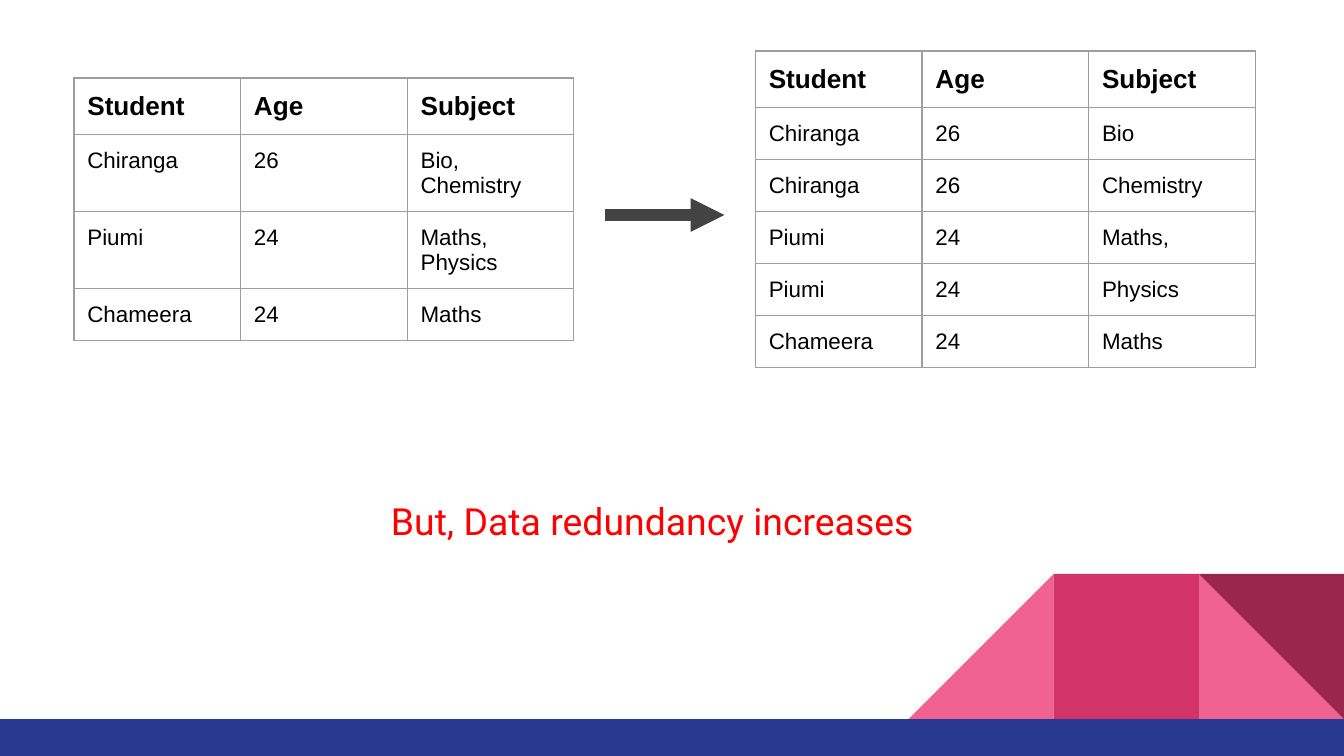
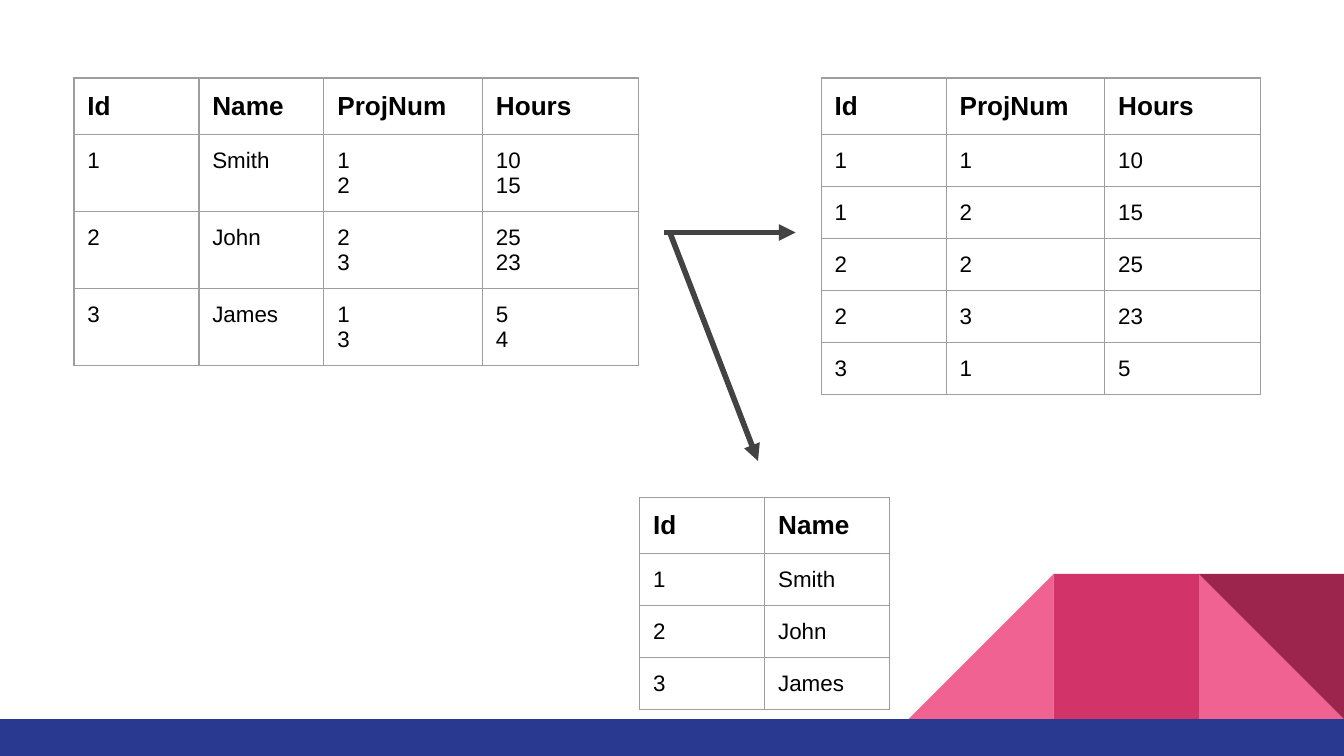
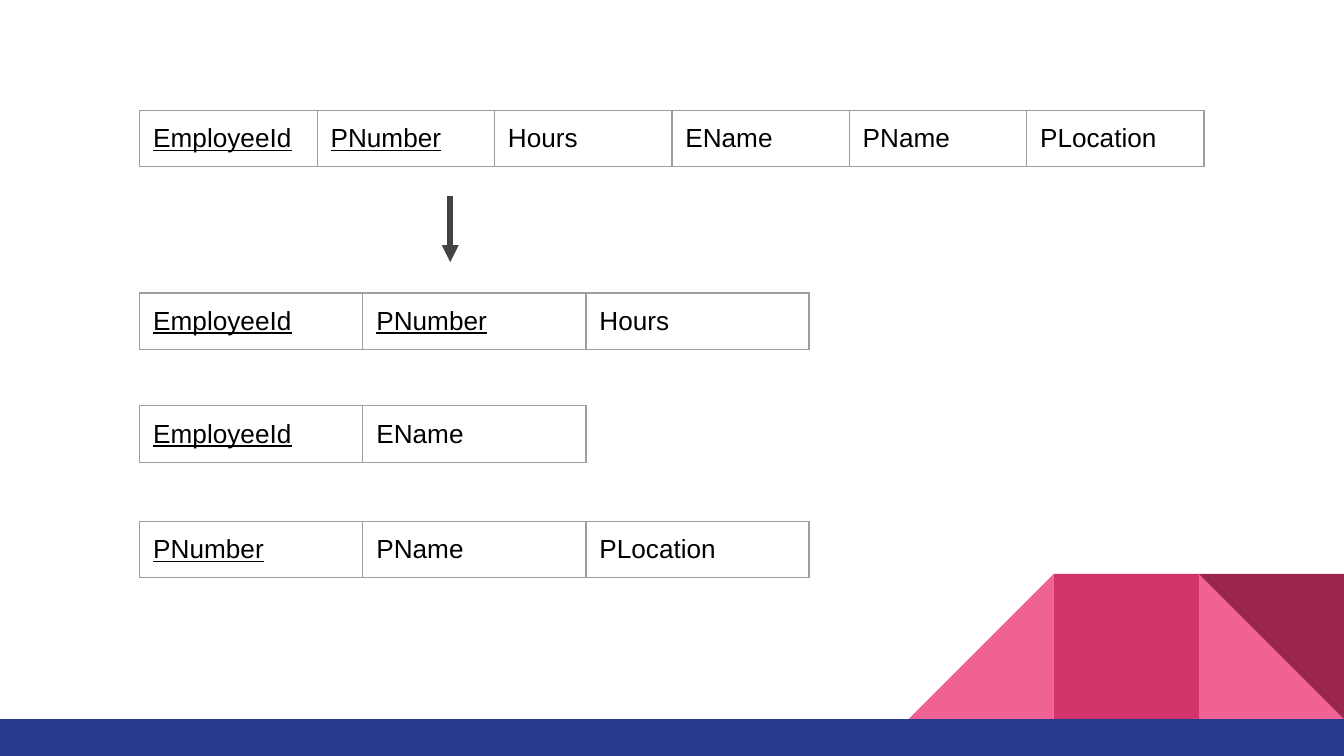
import pptx
import pptx.dml.color
import pptx.enum.shapes
import pptx.oxml
import pptx.oxml.ns
import pptx.util
from pptx.util import Inches

HUES = {
    "back": "FFFFFF", "ink": "000000", "alert": "FF0000",
    "grid": "9E9E9E", "arrow": "434343", "bar": "2A3990",
    "light": "F06292", "mid": "D23369", "dark": "9C254D",
}
KINDS = pptx.enum.shapes.MSO_SHAPE
PAD = Inches(0.1)
SIDE = 1.08


def hue(name):
    return pptx.dml.color.RGBColor.from_string(HUES[name])


def node(xml):
    return pptx.oxml.parse_xml(xml.replace(">", f" {pptx.oxml.ns.nsdecls('a')}>", 1))


class Deck:
    def __init__(self):
        self.file = pptx.Presentation()
        self.file.slide_width = Inches(10)
        self.file.slide_height = Inches(10 * 9 / 16)
        self.slide = None

    def page(self):
        """Start a slide with the pink corner and the blue footer bar."""
        self.slide = self.file.slides.add_slide(self.file.slide_layouts[6])
        fill = self.slide.background.fill
        fill.solid()
        fill.fore_color.rgb = hue("back")
        art = self.slide.shapes.add_group_shape().shapes
        tip = KINDS.RIGHT_TRIANGLE
        corner = [(2, tip, "light", 0), (0, tip, "light", 270),
                  (1, KINDS.RECTANGLE, "mid", 0), (2, tip, "dark", 180)]
        for step, kind, tone, turn in corner:
            self.shape(art, kind, (6.76 + step * SIDE, 4.27, SIDE, SIDE), tone, turn)
        self.shape(art, KINDS.RECTANGLE, (0, 5.35, 10, 0.28), "bar")

    def shape(self, home, kind, box, tone, turn=0):
        item = home.add_shape(kind, *map(Inches, box))
        item.shadow.inherit = False
        item.fill.solid()
        item.fill.fore_color.rgb = hue(tone)
        item.line.fill.background()
        item.rotation = turn

    def style(self, frame, size, tone="ink", face="Arial", bold=False, under=False):
        for para in frame.paragraphs:
            for run in para.runs:
                font = run.font
                font.name, font.size = face, pptx.util.Pt(size)
                font.bold, font.underline = bold, under
                font.color.rgb = hue(tone)

    def pad(self, item):
        item.margin_left = item.margin_right = PAD
        item.margin_top = item.margin_bottom = PAD

    def text(self, words, box, **look):
        frame = self.slide.shapes.add_textbox(*map(Inches, box)).text_frame
        frame.word_wrap = True
        self.pad(frame)
        frame.text = words
        self.style(frame, **look)

    def grid(self, left, top, widths, rows, highs):
        """Add a table with thin grey borders and no fill."""
        frame = self.slide.shapes.add_table(
            len(rows), len(widths), Inches(left), Inches(top),
            Inches(sum(widths)), Inches(sum(highs)))
        table = frame.table
        table.first_row = table.horz_banding = False
        for col, width in zip(table.columns, widths):
            col.width = Inches(width)
        for line, high, words in zip(table.rows, highs, rows):
            line.height = Inches(high)
            for cell, word in zip(line.cells, words):
                self.pad(cell)
                self.edge(cell)
                cell.fill.background()
                cell.text_frame.text = word
        return table

    def edge(self, cell):
        props = cell._tc.get_or_add_tcPr()
        for side in "LRTB":
            props.append(node(
                f'<a:ln{side} w="{pptx.util.Pt(0.75)}"><a:solidFill>'
                f'<a:srgbClr val="{HUES["grid"]}"/></a:solidFill></a:ln{side}>'))

    def data(self, left, top, widths, rows):
        """Add a table with a bold header row."""
        highs = [0.33] + [0.32] * (len(rows) - 1)
        table = self.grid(left, top, widths, rows, highs)
        for num, line in enumerate(table.rows):
            for cell in line.cells:
                self.style(cell.text_frame, 12 if num else 14, bold=num == 0)

    def schema(self, top, width, names, keys):
        """Add a one-row table whose first `keys` names are underlined."""
        table = self.grid(1.04, top, [width] * len(names), [names], [0.42])
        for num, cell in enumerate(table.rows[0].cells):
            self.style(cell.text_frame, 14, under=num < keys)

    def arrow(self, start, end, weight=3):
        line = self.slide.shapes.add_connector(
            pptx.enum.shapes.MSO_CONNECTOR.STRAIGHT, *map(Inches, start + end))
        line.line.color.rgb = hue("arrow")
        line.line.width = pptx.util.Pt(weight)
        line.line._ln.append(node('<a:tailEnd type="triangle"></a:tailEnd>'))
        line._element.spPr.append(node("<a:effectLst></a:effectLst>"))


def split(deck):
    """Slide 1: one subject per row."""
    deck.page()
    head, widths = ("Student", "Age", "Subject"), [1.24] * 3
    deck.data(0.55, 0.58, widths, [
        head,
        ("Chiranga", "26", "Bio, Chemistry"),
        ("Piumi", "24", "Maths, Physics"),
        ("Chameera", "24", "Maths"),
    ])
    deck.data(5.62, 0.38, widths, [
        head,
        ("Chiranga", "26", "Bio"),
        ("Chiranga", "26", "Chemistry"),
        ("Piumi", "24", "Maths,"),
        ("Piumi", "24", "Physics"),
        ("Chameera", "24", "Maths"),
    ])
    deck.arrow((4.5, 1.6), (5.39, 1.6), 6)
    deck.text("But, Data redundancy increases", (2.81, 3.61, 4.39, 0.93),
              size=20, tone="alert", face="Roboto")


def nested(deck):
    """Slide 2: repeated groups moved to a table of their own."""
    deck.page()
    wide = {"Id": 0.93, "Name": 0.93, "ProjNum": 1.18, "Hours": 1.16}
    staff = [("1", "Smith"), ("2", "John"), ("3", "James")]
    work = [("1\n2", "10\n15"), ("2\n3", "25\n23"), ("1\n3", "5\n4")]
    flat = [("1", "1", "10"), ("1", "2", "15"), ("2", "2", "25"),
            ("2", "3", "23"), ("3", "1", "5")]
    both = [who + job for who, job in zip(staff, work)]
    for left, top, head, rows in [
        (0.55, 0.58, ("Id", "Name", "ProjNum", "Hours"), both),
        (4.76, 3.7, ("Id", "Name"), staff),
        (6.11, 0.58, ("Id", "ProjNum", "Hours"), flat),
    ]:
        deck.data(left, top, [wide[name] for name in head], [head] + rows)
    deck.arrow((4.94, 1.73), (5.92, 1.73))
    deck.arrow((4.98, 1.72), (5.64, 3.43))


def keyed(deck):
    """Slide 3: one relation divided by its keys."""
    deck.page()
    deck.schema(0.82, 1.32, ("EmployeeId", "PNumber", "Hours",
                             "EName", "PName", "PLocation"), 2)
    deck.schema(2.18, 1.66, ("EmployeeId", "PNumber", "Hours"), 2)
    deck.schema(3.02, 1.66, ("EmployeeId", "EName"), 1)
    deck.schema(3.88, 1.66, ("PNumber", "PName", "PLocation"), 1)
    deck.arrow((3.35, 1.46), (3.35, 1.95))


def main():
    deck = Deck()
    for build in (split, nested, keyed):
        build(deck)
    deck.file.save("out.pptx")


if __name__ == "__main__":
    main()
